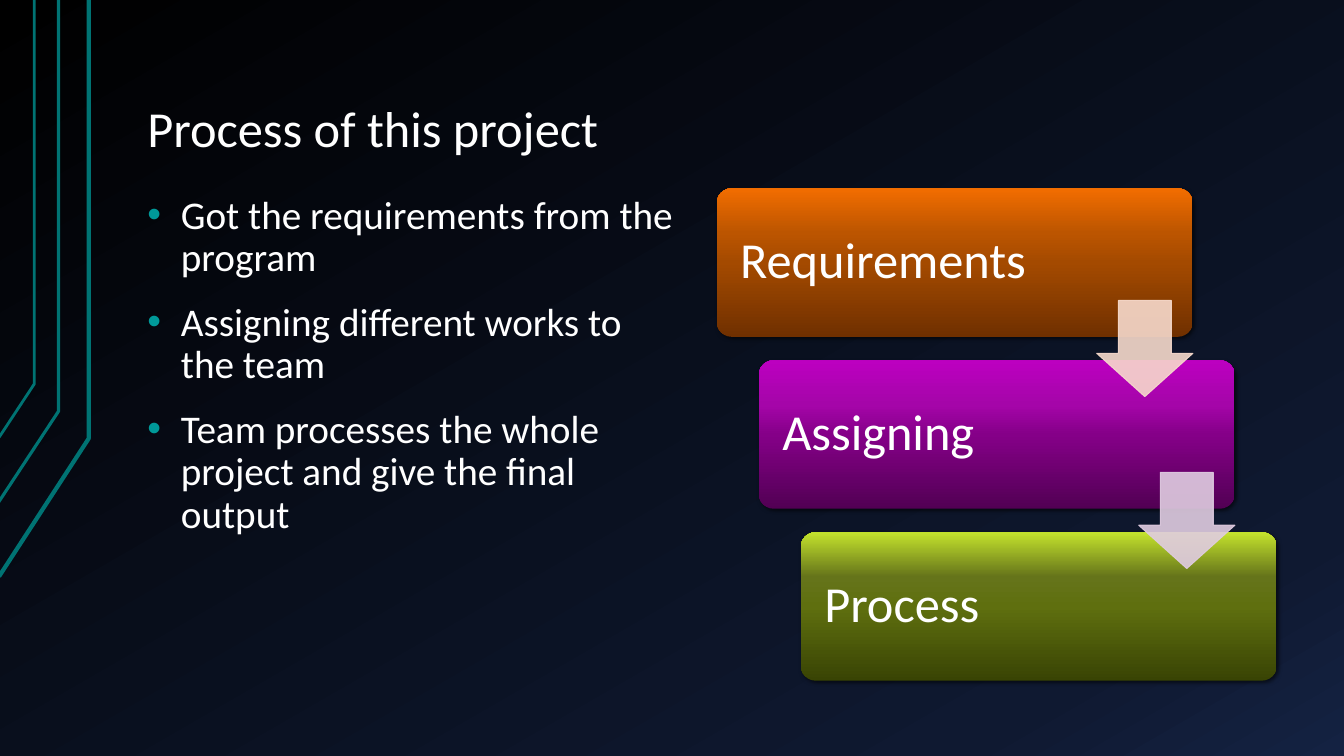
"""Build a slide with three bullets beside a staircase of process steps."""
from lxml import etree
from pptx import Presentation
from pptx.dml.color import RGBColor
from pptx.enum.shapes import MSO_SHAPE
from pptx.enum.text import MSO_ANCHOR, PP_ALIGN
from pptx.oxml.ns import qn
from pptx.util import Pt

ROUND, ARROW = MSO_SHAPE.ROUNDED_RECTANGLE, MSO_SHAPE.DOWN_ARROW
LEFT, MIDDLE, BOTTOM = PP_ALIGN.LEFT, MSO_ANCHOR.MIDDLE, MSO_ANCHOR.BOTTOM
FONT, WHITE, TEAL, BULLET = "Calibri", "FFFFFF", "007373", "009999"

TITLE = "Process of this project"
POINTS = [
    "Got the requirements from the program",
    "Assigning different works to the team",
    "Team processes the whole project and give the final output",
]
STEPS = [
    ("Requirements", ["703000", "A44A00", "BC5500", "F26D00"]),
    ("Assigning", ["520054", "850088", "A505A9", "BC00C0"]),
    ("Process", ["394404", "5F6F0F", "65741A", "C4E32D"]),
]
ARROWS = ["F7DACC", "E0CCE1"]
STOPS = [0, 50, 70, 100]
NIGHT = [(0, "000000"), (85, "0F1931"), (100, "142242")]
LINES = [
    (3, [(-0.7, 411.8), (63.4, 313.2), (63.4, 0)]),
    (2.25, [(-1.4, 359.3), (41.8, 293.8), (41.8, 0)]),
    (2, [(-0.7, 312.5), (24.5, 274.3), (24.5, 0)]),
]
BOX_X, BOX_Y, BOX_W, BOX_H = 512, 134.6, 340, 106
STEP_X, STEP_Y = 30, 122.8
TIP, TIP_X, TIP_Y = 68.7, 271.4, 80


def color(code):
    return RGBColor.from_string(code)


def node(parent, tag, **attrs):
    return etree.SubElement(parent, qn(tag), {k: str(v) for k, v in attrs.items()})


def tint(parent, code, alpha=100):
    clr = node(parent, "a:srgbClr", val=code)
    if alpha < 100:
        node(clr, "a:alpha", val=alpha * 1000)


def shade(fill, root, stops, angle):
    fill.gradient()
    grad = root.find(".//" + qn("a:gradFill"))
    group = grad.find(qn("a:gsLst"))
    for old in list(group):
        group.remove(old)
    for pos, code in stops:
        tint(node(group, "a:gs", pos=pos * 1000), code)
    grad.find(qn("a:lin")).set("ang", str(angle * 60000))


def cast(shape):
    shape.shadow.inherit = False
    effects = shape._element.spPr.find(qn("a:effectLst"))
    drop = node(effects, "a:outerShdw", blurRad=Pt(3), dist=Pt(2),
                dir=45 * 60000, algn="ctr", rotWithShape=0)
    tint(drop, "000000", 60)


def style(para, size):
    para.alignment, para.line_spacing = LEFT, 0.9
    para.font.name, para.font.size = FONT, Pt(size)
    para.font.color.rgb = color(WHITE)


def inset(frame, side, edge):
    frame.word_wrap = True
    frame.margin_left = frame.margin_right = Pt(side)
    frame.margin_top = frame.margin_bottom = Pt(edge)


def place(shape, *box):
    shape.left, shape.top, shape.width, shape.height = map(Pt, box)


def add_lines(shapes):
    for width, points in LINES:
        first, *rest = [(Pt(x), Pt(y)) for x, y in points]
        form = shapes.build_freeform(*first)
        form.add_line_segments(rest, close=False)
        line = form.convert_to_shape()
        line.shadow.inherit = False
        line.fill.background()
        line.line.color.rgb = color(TEAL)
        line.line.width = Pt(width)


def add_title(title):
    place(title, 95.8, 21.6, 815.8, 96.5)
    frame = title.text_frame
    frame.text = TITLE
    frame.vertical_anchor = BOTTOM
    inset(frame, 9.4, 5)
    style(frame.paragraphs[0], 36)


def add_points(shapes):
    frame = shapes.add_textbox(Pt(95.8), Pt(134.6), Pt(399.6), Pt(351.4)).text_frame
    inset(frame, 9.4, 5)
    frame.text = "\n".join(POINTS)
    for para in frame.paragraphs:
        style(para, 28)
        para.space_before = Pt(16)
        props = para._p.get_or_add_pPr()
        props.set("marL", str(Pt(24)))
        props.set("indent", str(-Pt(24)))
        tint(node(props, "a:buClr"), BULLET)
        node(props, "a:buFont", typeface="Arial")
        node(props, "a:buChar", char="•")
        props.append(props.find(qn("a:defRPr")))


def add_step(shapes, i, name, codes):
    box = shapes.add_shape(ROUND, Pt(BOX_X + i * STEP_X), Pt(BOX_Y + i * STEP_Y),
                           Pt(BOX_W), Pt(BOX_H))
    box.adjustments[0] = 0.1
    shade(box.fill, box._element.spPr, zip(STOPS, codes), 270)
    box.line.fill.background()
    cast(box)
    frame = box.text_frame
    frame.text = name
    frame.vertical_anchor = MIDDLE
    inset(frame, 13.7, 11)
    style(frame.paragraphs[0], 36)


def add_arrow(shapes, i, code):
    tip = shapes.add_shape(ARROW, Pt(BOX_X + TIP_X + i * STEP_X),
                           Pt(BOX_Y + TIP_Y + i * STEP_Y), Pt(TIP), Pt(TIP))
    tip.adjustments[0], tip.adjustments[1] = 0.55, 0.45
    tip.shadow.inherit = False
    tip.line.width = Pt(0.75)
    for fill in (tip.fill, tip.line.fill):
        fill.solid()
        fill.fore_color.rgb = color(code)
    for clr in tip._element.spPr.iter(qn("a:srgbClr")):
        node(clr, "a:alpha", val=90000)


def main():
    deck = Presentation()
    deck.slide_width, deck.slide_height = Pt(960), Pt(540)
    slide = deck.slides.add_slide(deck.slide_layouts[5])
    shapes = slide.shapes
    shade(slide.background.fill, slide._element, NIGHT, 60)
    add_lines(shapes)
    add_title(shapes.title)
    add_points(shapes)
    for i, (name, codes) in enumerate(STEPS):
        add_step(shapes, i, name, codes)
    for i, code in enumerate(ARROWS):
        add_arrow(shapes, i, code)
    deck.save("out.pptx")


if __name__ == "__main__":
    main()
